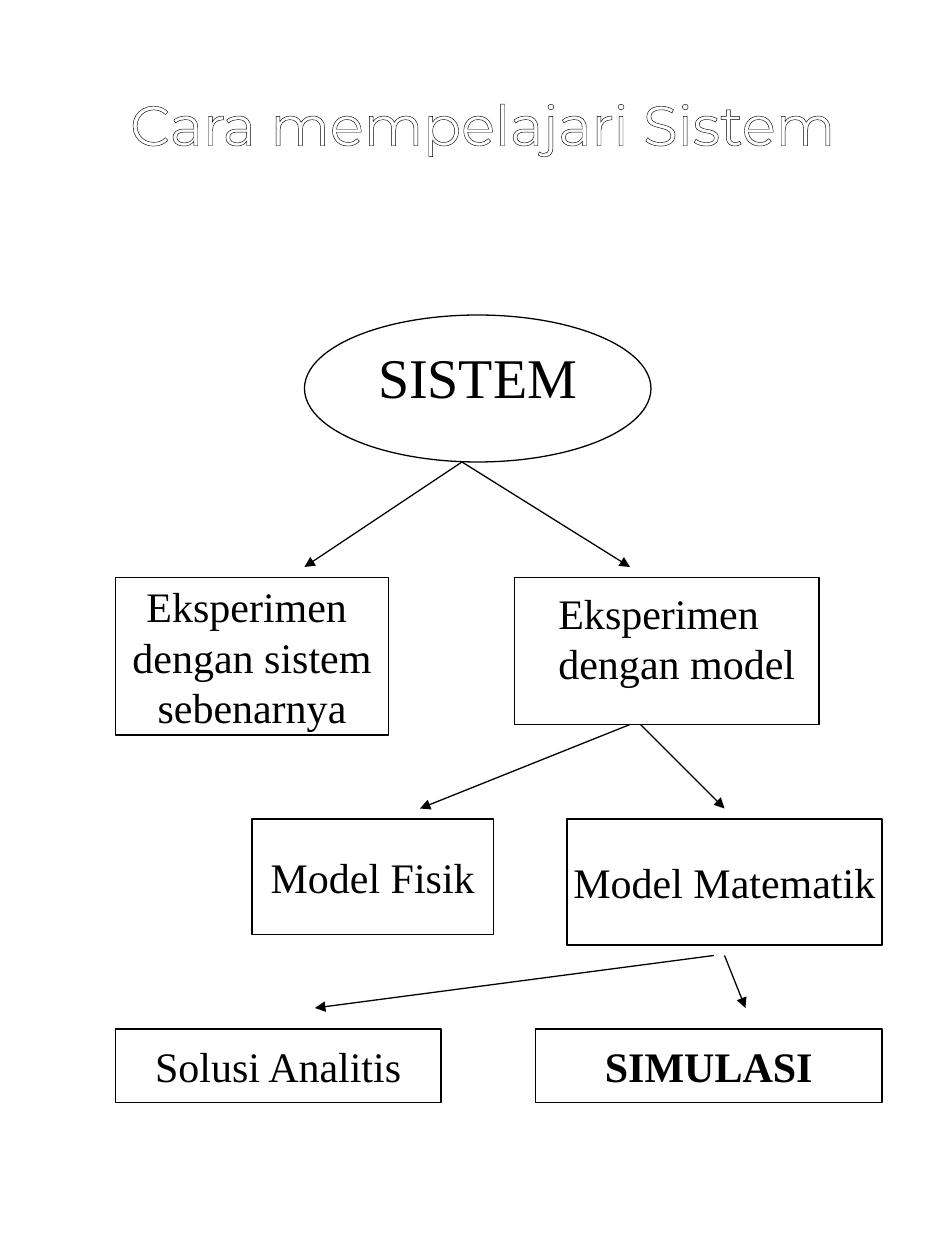
from lxml import etree
from pptx import Presentation
from pptx.dml.color import RGBColor
from pptx.enum.dml import MSO_LINE
from pptx.enum.shapes import MSO_CONNECTOR, MSO_SHAPE
from pptx.enum.text import MSO_ANCHOR as Anchor, MSO_AUTO_SIZE as AutoSize, PP_ALIGN as Align
from pptx.oxml import parse_xml
from pptx.oxml.ns import nsdecls, qn
from pptx.util import Pt

BLACK, WHITE = "000000", "FFFFFF"
SERIF = "Times New Roman"

# Content: lines of text, then left, top, width, height in points
TITLE = "Cara mempelajari Sistem"
SYSTEM = (["SISTEM"], 174, 180, 198, 84)
BOXES = [
    (["Eksperimen ", "dengan sistem", "sebenarnya"], 66, 330, 156, 90),
    ([], 294, 330, 174, 84),
    (["Model Matematik"], 324, 468, 180, 72),
    (["Model Fisik"], 144, 468, 138, 66),
    (["SIMULASI"], 306, 588, 198, 42),
    (["Solusi Analitis"], 66, 588, 186, 42),
]
MODEL_LABEL = (["Eksperimen", "dengan model"], 312, 332, 150, 65)
EMPHASIZED = "SIMULASI"
ARROWS = [
    (264, 264, 174, 324), (264, 264, 360, 324),
    (360, 414, 240, 462), (366, 414, 414, 462),
    (408, 546, 180, 576), (414, 546, 426, 576),
]


def color(hex_value):
    return RGBColor.from_string(hex_value)


def write_lines(shape, lines, size, align, anchor, wrap):
    frame = shape.text_frame
    frame.word_wrap = wrap
    frame.auto_size = AutoSize.NONE
    frame.vertical_anchor = anchor
    for index, line in enumerate(lines):
        paragraph = frame.paragraphs[0] if index == 0 else frame.add_paragraph()
        paragraph.text = line
        paragraph.alignment = align
        font = paragraph.font
        font.name, font.size = SERIF, Pt(size)
        font.color.rgb = color(BLACK)
        if line == EMPHASIZED:
            font.bold = True


def add_node(shapes, kind, node, size=24, align=Align.CENTER, anchor=Anchor.MIDDLE,
             wrap=False, outlined=True):
    lines, *bounds = node
    shape = shapes.add_shape(kind, *map(Pt, bounds))
    shape.shadow.inherit = False
    shape.fill.solid()
    shape.fill.fore_color.rgb = color(WHITE)
    if outlined:
        shape.line.color.rgb = color(BLACK)
        shape.line.width = Pt(0.75)
    else:
        shape.line.fill.background()
    write_lines(shape, lines, size, align, anchor, wrap)
    return shape


def add_arrow(shapes, ends):
    arrow = shapes.add_connector(MSO_CONNECTOR.STRAIGHT, *map(Pt, ends))
    arrow.line.color.rgb = color(BLACK)
    arrow.line.width = Pt(0.75)
    arrow.line.dash_style = MSO_LINE.SOLID
    properties = arrow._element.spPr
    tail = etree.SubElement(properties.find(qn("a:ln")), qn("a:tailEnd"))
    tail.set("type", "triangle")
    etree.SubElement(properties, qn("a:effectLst"))


def format_title(title):
    title.left, title.top, title.width, title.height = map(Pt, (54, 48, 444, 45))
    frame = title.text_frame
    frame.text = TITLE
    frame.word_wrap = False
    frame.auto_size = AutoSize.NONE
    frame.vertical_anchor = Anchor.MIDDLE
    paragraph = frame.paragraphs[0]
    paragraph.alignment = Align.CENTER
    font = paragraph.runs[0].font
    font.name, font.size = "Montserrat", Pt(32)
    font.color.rgb = color(WHITE)
    # Letter outline
    outline = parse_xml(
        f'<a:ln {nsdecls("a")} w="{Pt(0.75)}"><a:solidFill>'
        f'<a:srgbClr val="{BLACK}"/></a:solidFill></a:ln>')
    paragraph.runs[0]._r.get_or_add_rPr().insert(0, outline)


def main():
    presentation = Presentation()
    presentation.slide_width, presentation.slide_height = Pt(540), Pt(720)
    slide = presentation.slides.add_slide(presentation.slide_layouts[5])
    shapes = slide.shapes
    format_title(shapes.title)

    # Diagram nodes
    system = add_node(shapes, MSO_SHAPE.OVAL, SYSTEM, size=32, anchor=Anchor.TOP, wrap=True)
    system.text_frame.paragraphs[0].space_before = Pt(8)
    for box in BOXES:
        add_node(shapes, MSO_SHAPE.RECTANGLE, box)
    add_node(shapes, MSO_SHAPE.RECTANGLE, MODEL_LABEL, align=Align.LEFT,
             anchor=Anchor.TOP, outlined=False)

    # Arrows between levels
    for ends in ARROWS:
        add_arrow(shapes, ends)

    presentation.save("out.pptx")


if __name__ == "__main__":
    main()
